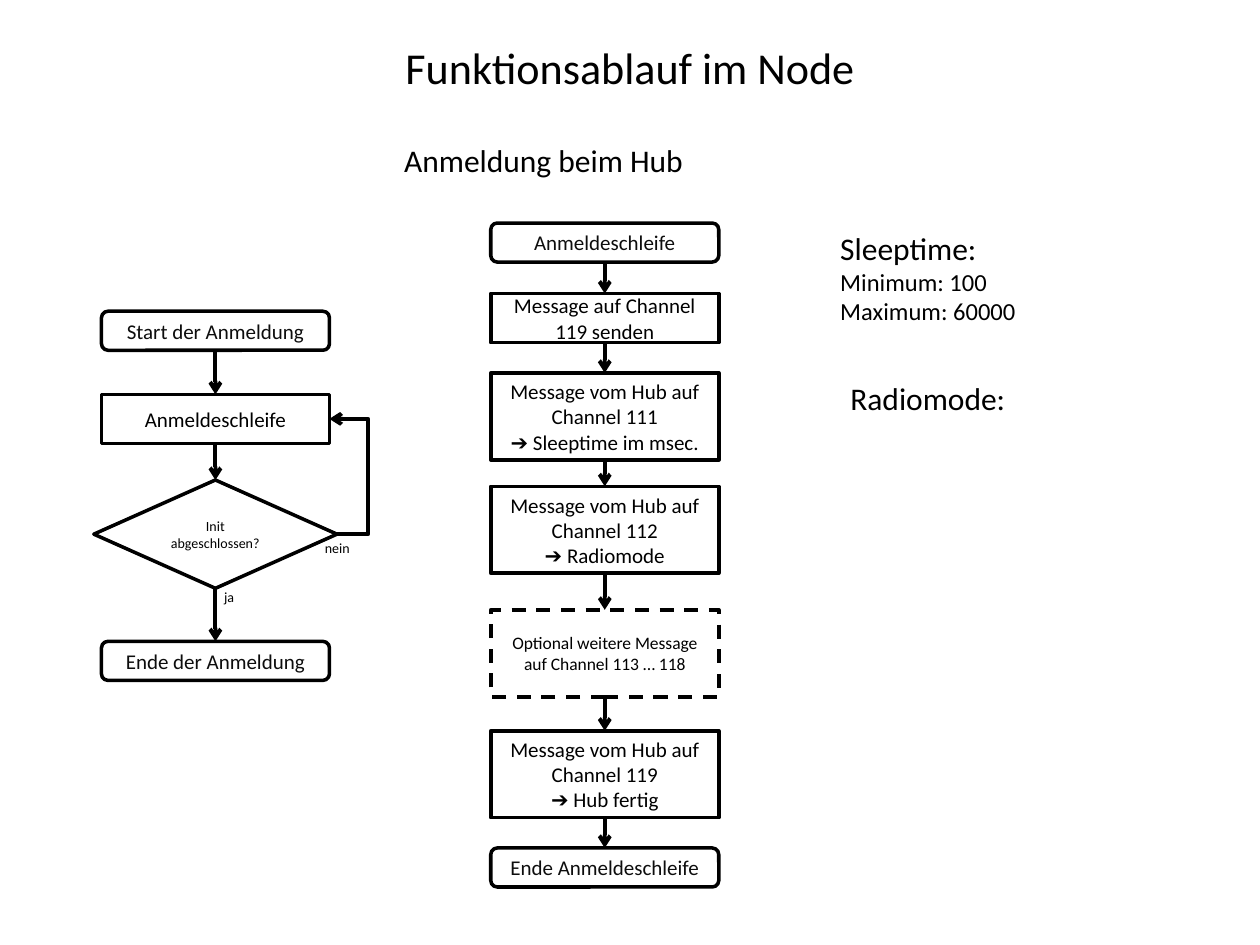
from dataclasses import dataclass
from itertools import pairwise

from pptx import Presentation
from pptx.dml.color import RGBColor
from pptx.enum.dml import MSO_LINE as Dash
from pptx.enum.shapes import MSO_CONNECTOR as Link, MSO_SHAPE as Kind
from pptx.enum.text import MSO_ANCHOR as Anchor, MSO_AUTO_SIZE as Fit, PP_ALIGN as Align
from pptx.oxml.ns import qn
from pptx.shapes.autoshape import Shape
from pptx.shapes.connector import Connector
from pptx.slide import Slide
from pptx.text.text import TextFrame
from pptx.util import Inches, Pt
from lxml.etree import SubElement


@dataclass(frozen=True)
class Theme:
    """Colours, font, type sizes and line widths."""
    font: str = "Calibri"
    ink: RGBColor = RGBColor(0, 0, 0)
    soft: RGBColor = RGBColor(0x0D, 0x0D, 0x0D)
    paper: RGBColor = RGBColor(255, 255, 255)
    title: float = 25.2
    head: float = 18
    body: float = 14
    step: float = 12
    small: float = 10
    tiny: float = 8
    edge: float = 2
    arrow: float = 2.25


THEME = Theme()


@dataclass(frozen=True)
class Step:
    """One box of a flow chart."""
    text: str
    top: float
    high: float = 0.69
    kind: Kind = Kind.RECTANGLE
    size: float = THEME.step
    wide: float = 1.81
    dash: bool = False


@dataclass(frozen=True)
class Note:
    """One free text: its place and its lines with their sizes."""
    left: float
    top: float
    wide: float
    high: float
    lines: tuple[tuple[str, float], ...]


END = {"high": 0.31, "kind": Kind.ROUNDED_RECTANGLE}
LOGIN = (
    Step("Start der Anmeldung", 2.47, **END),
    Step("Anmeldeschleife", 3.13, 0.39),
    Step("Init abgeschlossen?", 3.81, 0.86, Kind.DIAMOND, THEME.tiny, 1.93),
    Step("Ende der Anmeldung", 5.09, **END),
)
LOOP = (
    Step("Anmeldeschleife", 1.77, **END),
    Step("Message auf Channel 119 senden", 2.33, 0.39),
    Step("Message vom Hub auf Channel 111\n➔ Sleeptime im msec.", 2.96),
    Step("Message vom Hub auf Channel 112\n➔ Radiomode", 3.86),
    Step("Optional weitere Message auf Channel 113 … 118", 4.84,
         size=THEME.small, dash=True),
    Step("Message vom Hub auf Channel 119\n➔ Hub fertig", 5.8),
    Step("Ende Anmeldeschleife", 6.73, **END),
)
NOTES = (
    Note(3.11, 1.07, 2.44, 0.4, (("Anmeldung beim Hub", THEME.head),)),
    Note(2.48, 4.23, 0.4, 0.24, (("nein", THEME.tiny),)),
    Note(1.68, 4.62, 0.28, 0.24, (("ja", THEME.tiny),)),
    Note(6.57, 1.77, 1.61, 0.88, (
        ("Sleeptime:", THEME.head),
        ("Minimum: 100", THEME.body),
        ("Maximum: 60000", THEME.body),
    )),
    Note(6.65, 2.96, 1.45, 0.71, (("Radiomode:", THEME.head),)),
)


def write(frame: TextFrame, text: str, *, size: float, color: RGBColor = THEME.ink,
          align: Align = Align.LEFT, more: bool = False) -> None:
    """Write lines as paragraphs, after the present ones if more is set."""
    for row, line in enumerate(text.split("\n")):
        para = frame.add_paragraph() if more or row else frame.paragraphs[0]
        para.alignment = align
        run = para.add_run()
        run.text = line
        run.font.name = THEME.font
        run.font.size = Pt(size)
        run.font.color.rgb = color


def add_title(slide: Slide, text: str) -> None:
    """Fill and place the title."""
    title = slide.shapes.title
    title.left, title.top = Inches(0.5), Inches(0.3)
    title.width, title.height = Inches(9), Inches(0.46)
    frame = title.text_frame
    frame.auto_size = Fit.NONE
    frame.vertical_anchor = Anchor.MIDDLE
    write(frame, text, size=THEME.title, align=Align.CENTER)


def add_step(slide: Slide, step: Step, mid: float) -> Shape:
    """Draw a box centred on the axis mid."""
    box = slide.shapes.add_shape(step.kind, Inches(mid - step.wide / 2), Inches(step.top),
                                 Inches(step.wide), Inches(step.high))
    box.shadow.inherit = False
    box.fill.solid()
    box.fill.fore_color.rgb = THEME.paper
    box.line.color.rgb = THEME.ink
    box.line.width = Pt(THEME.edge)
    if step.dash:
        box.line.dash_style = Dash.DASH
    frame = box.text_frame
    frame.word_wrap = True
    frame.vertical_anchor = Anchor.MIDDLE
    color = THEME.soft if step.kind == Kind.ROUNDED_RECTANGLE else THEME.ink
    write(frame, step.text, size=step.size, color=color, align=Align.CENTER)
    return box


def add_arrow(slide: Slide, kind: Link, start: Shape, end: Shape,
              sites: tuple[int, int]) -> Connector:
    """Join two boxes at the given sites with an arrow."""
    line = slide.shapes.add_connector(kind, 0, 0, 0, 0)
    line.begin_connect(start, sites[0])
    line.end_connect(end, sites[1])
    line.line.color.rgb = THEME.ink
    line.line.width = Pt(THEME.arrow)
    SubElement(line.line._get_or_add_ln(), qn("a:tailEnd"), type="arrow")
    SubElement(line._element.spPr, qn("a:effectLst"))
    return line


def add_flow(slide: Slide, steps: tuple[Step, ...], mid: float) -> list[Shape]:
    """Draw a column of boxes joined from top to bottom."""
    boxes = [add_step(slide, step, mid) for step in steps]
    for start, end in pairwise(boxes):
        add_arrow(slide, Link.STRAIGHT, start, end, (2, 0))
    return boxes


def add_back(slide: Slide, start: Shape, end: Shape, reach: float) -> None:
    """Lead an arrow back from right side to right side, bending out by reach."""
    line = add_arrow(slide, Link.ELBOW, start, end, (3, 3))
    bend = -round(Inches(reach) / line.width * 100000)
    guides = line._element.spPr.find(qn("a:prstGeom")).get_or_add_avLst()
    SubElement(guides, qn("a:gd"), name="adj1", fmla=f"val {bend}")


def add_note(slide: Slide, note: Note) -> None:
    """Place a free text."""
    box = slide.shapes.add_textbox(Inches(note.left), Inches(note.top),
                                   Inches(note.wide), Inches(note.high))
    frame = box.text_frame
    frame.word_wrap = False
    frame.auto_size = Fit.SHAPE_TO_FIT_TEXT
    for row, (text, size) in enumerate(note.lines):
        write(frame, text, size=size, more=row > 0)


def main() -> None:
    """Build and save the slide."""
    deck = Presentation()
    deck.slide_width, deck.slide_height = Inches(10), Inches(7.5)
    slide = deck.slides.add_slide(deck.slide_layouts[5])
    add_title(slide, "Funktionsablauf im Node")
    _, loop, test, _ = add_flow(slide, LOGIN, 1.71)
    add_back(slide, test, loop, 0.25)
    add_flow(slide, LOOP, 4.8)
    for note in NOTES:
        add_note(slide, note)
    deck.save("out.pptx")


main()
